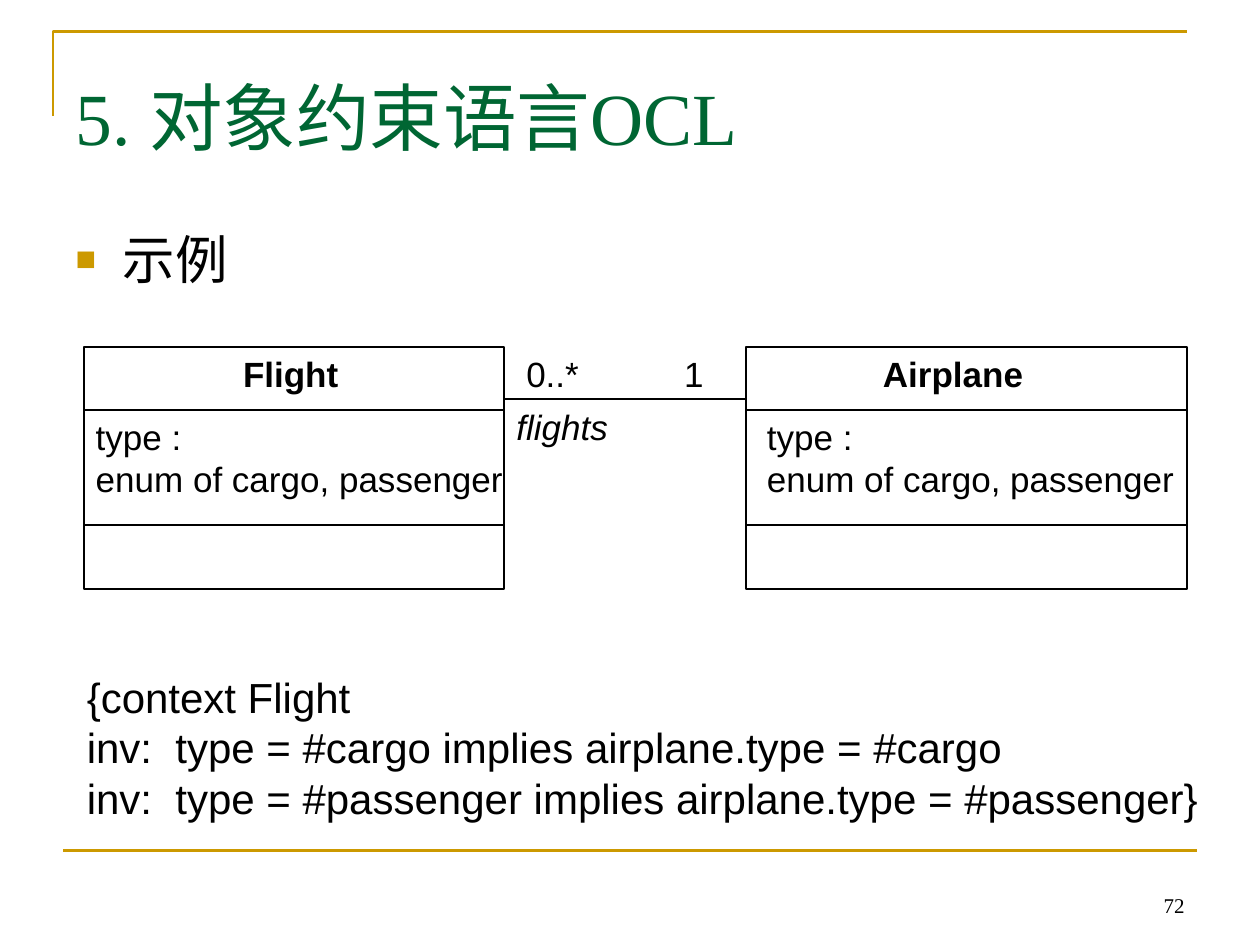
"""Build the OCL example slide with its Flight and Airplane class diagram."""
from lxml.etree import SubElement
from pptx import Presentation
from pptx.dml.color import RGBColor
from pptx.enum.shapes import MSO_CONNECTOR, MSO_SHAPE
from pptx.enum.text import MSO_ANCHOR, MSO_AUTO_SIZE, PP_ALIGN
from pptx.oxml.ns import qn
from pptx.util import Cm, Pt

rgb = RGBColor.from_string
GOLD, GREEN, BLACK = "CC9900", "006633", "000000"


def write(sp, box, lines, wrap=False, anchor=MSO_ANCHOR.TOP, align=PP_ALIGN.LEFT,
          color=BLACK, **font):
    sp.left, sp.top, sp.width, sp.height = map(Cm, box)
    tf = sp.text_frame
    tf.text = "\n".join(lines)
    frame = {"word_wrap": wrap, "vertical_anchor": anchor, "auto_size": MSO_AUTO_SIZE.NONE}
    for key, value in frame.items():
        setattr(tf, key, value)
    for p in tf.paragraphs:
        p.alignment = align
        for r in p.runs:
            r.font.color.rgb = rgb(color)
            for key, value in ({"name": "Arial", "size": Pt(20)} | font).items():
                setattr(r.font, key, value)


def line(x1, y1, x2, y2, color=BLACK, width=1):
    cn = s.shapes.add_connector(MSO_CONNECTOR.STRAIGHT, Cm(x1), Cm(y1), Cm(x2), Cm(y2))
    cn.line.color.rgb = rgb(color)
    cn.line.width = Pt(width)
    SubElement(cn._element.spPr, qn("a:effectLst"))


prs = Presentation()
prs.slide_width, prs.slide_height = Cm(25.4), Cm(19.05)
s = prs.slides.add_slide(prs.slide_layouts[1])

fb = s.shapes.build_freeform(Cm(1.07), Cm(2.33))
fb.add_line_segments([(Cm(1.07), Cm(0.64)), (Cm(23.93), Cm(0.64))], close=False)
corner = fb.convert_to_shape()
corner.shadow.inherit = False
corner.fill.background()
corner.line.color.rgb = rgb(GOLD)
corner.line.width = Pt(1.5)
line(1.27, 17.15, 24.13, 17.15, GOLD, 1.5)

write(s.shapes.title, (1.27, 0.76, 22.86, 3.18), ["5. 对象约束语言OCL"], wrap=True,
      anchor=MSO_ANCHOR.MIDDLE, color=GREEN, name="Times New Roman", size=Pt(42))

body = s.placeholders[1]
write(body, (1.27, 4.45, 22.86, 12.57), ["示例"], wrap=True, size=Pt(30))
p = body.text_frame.paragraphs[0]
p.space_before = Pt(7.5)
pPr = p._p.get_or_add_pPr()
for key, value in {"marL": Cm(0.95), "indent": -Cm(0.95)}.items():
    pPr.set(key, str(value))
SubElement(SubElement(pPr, qn("a:buClr")), qn("a:srgbClr"), val=GOLD)
SubElement(pPr, qn("a:buSzPct"), val="65000")
SubElement(pPr, qn("a:buFont"), typeface="Arial")
SubElement(pPr, qn("a:buChar"), char="■")

top = 6.99
classes = [
    ("Flight", 1.7, 8.46, 4.65, 2.44, 1.68),
    ("Airplane", 15.04, 8.89, 17.55, 3.35, 15.21),
]
for name, x, w, name_x, name_w, attr_x in classes:
    sp = s.shapes.add_shape(MSO_SHAPE.RECTANGLE, Cm(x), Cm(top), Cm(w), Cm(4.88))
    sp.shadow.inherit = False
    sp.fill.background()
    sp.line.color.rgb = rgb(BLACK)
    sp.line.width = Pt(1)
    for y in (8.26, 10.59):
        line(x, y, x + w, y)
    write(s.shapes.add_textbox(0, 0, 0, 0), (name_x, top, name_w, 1.09), [name], bold=True)
    write(s.shapes.add_textbox(0, 0, 0, 0), (attr_x, 8.26, 8.74, 1.96),
          ["type :", "enum of cargo, passenger"])

line(10.16, 8.05, 15.04, 8.05)
constraint = [
    "{context Flight",
    "inv:  type = #cargo implies airplane.type = #cargo",
    "inv:  type = #passenger implies airplane.type = #passenger}",
]
texts = [
    ((10.36, top, 1.57, 1.09), ["0..*"], {}),
    ((13.54, top, 0.91, 1.09), ["1"], {}),
    ((10.16, 8.05, 2.36, 1.09), ["flights"], {"italic": True}),
    ((1.5, 13.41, 22.91, 3.3), constraint, {"size": Pt(24)}),
    ((18.21, 17.35, 5.92, 1.27), ["72"],
     {"wrap": True, "anchor": MSO_ANCHOR.BOTTOM, "align": PP_ALIGN.RIGHT,
      "name": "Times New Roman", "size": Pt(12)}),
]
for box, lines, fmt in texts:
    write(s.shapes.add_textbox(0, 0, 0, 0), box, lines, **fmt)

prs.save("out.pptx")
